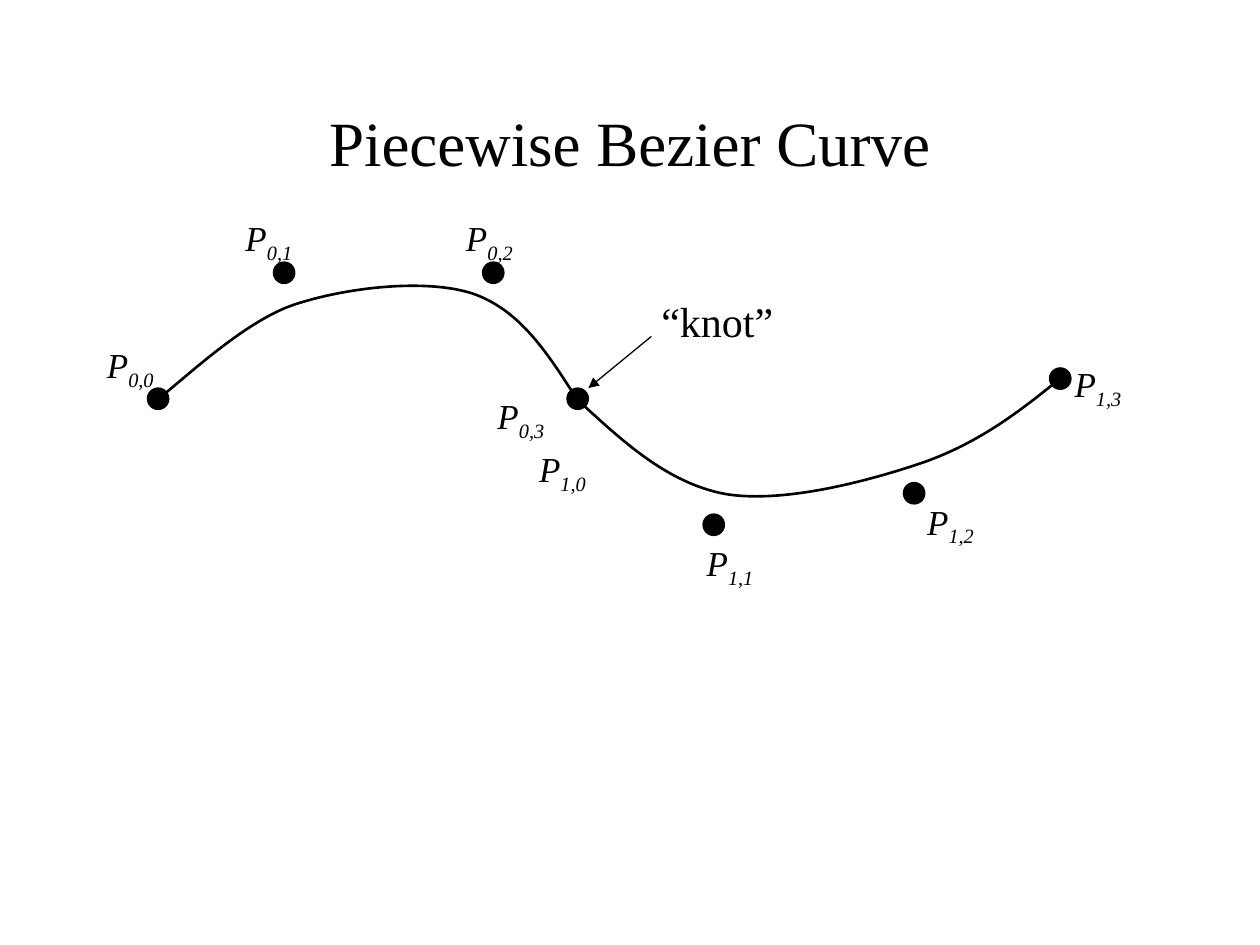
"""Build a slide showing a piecewise Bezier curve with its control points."""
from lxml import etree
from pptx import Presentation
from pptx.dml.color import RGBColor
from pptx.enum import shapes, text
from pptx.oxml import ns
from pptx.util import Inches, Pt

BLACK = RGBColor(0, 0, 0)
FONT = "Times New Roman"
DOT_SIZE = 0.17

DOTS = [(1.17, 3.08), (2.17, 2.08), (3.83, 2.08), (4.5, 3.08),
        (5.58, 4.08), (7.17, 3.83), (8.33, 2.92)]
CURVES = [
    [(1.25, 3.17), (1.43, 3.04), (1.92, 2.56), (2.33, 2.42), (2.75, 2.28),
     (3.38, 2.21), (3.75, 2.33), (4.13, 2.46), (4.35, 2.81), (4.58, 3.17)],
    [(4.58, 3.17), (4.94, 3.5), (5.29, 3.83), (5.75, 3.92), (6.21, 4),
     (6.89, 3.82), (7.33, 3.67), (7.78, 3.51), (8.1, 3.26), (8.42, 3)],
]
POINT_LABELS = [
    ("0,0", 0.75, 2.68), ("0,1", 1.85, 1.67), ("0,2", 3.6, 1.67),
    ("0,3", 3.85, 3.08), ("1,0", 4.18, 3.5), ("1,1", 5.51, 4.25),
    ("1,2", 7.26, 3.92), ("1,3", 8.43, 2.83),
]


def set_line(shape, width):
    shape.line.color.rgb = BLACK
    shape.line.width = Pt(width)


def add_box(page, left, top, width, height):
    box = page.shapes.add_textbox(*map(Inches, (left, top, width, height)))
    box.text_frame.word_wrap = False
    box.text_frame.auto_size = text.MSO_AUTO_SIZE.SHAPE_TO_FIT_TEXT
    return box


def add_span(para, words, size, italic=False):
    span = para.add_run()
    span.text = words
    span.font.name = FONT
    span.font.size = Pt(size)
    span.font.italic = italic
    span.font.color.rgb = BLACK
    return span


def add_title(page, words):
    frame = add_box(page, 0.75, 0.5, 8.5, 1.25).text_frame
    frame.word_wrap = True
    frame.auto_size = text.MSO_AUTO_SIZE.NONE
    frame.vertical_anchor = text.MSO_ANCHOR.MIDDLE
    para = frame.paragraphs[0]
    para.alignment = text.PP_ALIGN.CENTER
    add_span(para, words, 36)


def add_point_label(page, index, left, top):
    para = add_box(page, left, top, 0.57, 0.48).text_frame.paragraphs[0]
    add_span(para, "P", 20, italic=True)
    subscript = add_span(para, index, 20, italic=True)
    subscript.font._element.set("baseline", "-25000")


def add_dot(page, left, top):
    dot = page.shapes.add_shape(
        shapes.MSO_SHAPE.OVAL, *map(Inches, (left, top, DOT_SIZE, DOT_SIZE)))
    dot.shadow.inherit = False
    dot.fill.solid()
    dot.fill.fore_color.rgb = BLACK
    set_line(dot, 0.75)


def add_curve(page, points):
    start, *controls = [(Inches(x), Inches(y)) for x, y in points]
    builder = page.shapes.build_freeform(*start)
    builder.add_line_segments(controls, close=False)
    curve = builder.convert_to_shape()
    curve.shadow.inherit = False
    curve.fill.background()
    set_line(curve, 1.5)
    segments = curve._element.xpath(".//a:lnTo")
    for first in range(0, len(segments), 3):
        bezier = etree.Element(ns.qn("a:cubicBezTo"))
        segments[first].addprevious(bezier)
        for segment in segments[first:first + 3]:
            bezier.append(segment[0])
            segment.getparent().remove(segment)


def add_arrow(page, start, end):
    arrow = page.shapes.add_connector(
        shapes.MSO_CONNECTOR.STRAIGHT, *map(Inches, (*start, *end)))
    set_line(arrow, 0.75)
    etree.SubElement(arrow.line._get_or_add_ln(), ns.qn("a:tailEnd"), type="triangle")
    etree.SubElement(arrow._element.spPr, ns.qn("a:effectLst"))


def main():
    deck = Presentation()
    deck.slide_width, deck.slide_height = Inches(10), Inches(7.5)
    page = deck.slides.add_slide(deck.slide_layouts[6])
    add_title(page, "Piecewise Bezier Curve")
    for dot in DOTS:
        add_dot(page, *dot)
    for points in CURVES:
        add_curve(page, points)
    add_arrow(page, (5.17, 2.67), (4.67, 3.08))
    knot = add_box(page, 5.15, 2.3, 1.09, 0.5)
    add_span(knot.text_frame.paragraphs[0], "“knot”", 24)
    for label in POINT_LABELS:
        add_point_label(page, *label)
    deck.save("out.pptx")


if __name__ == "__main__":
    main()
